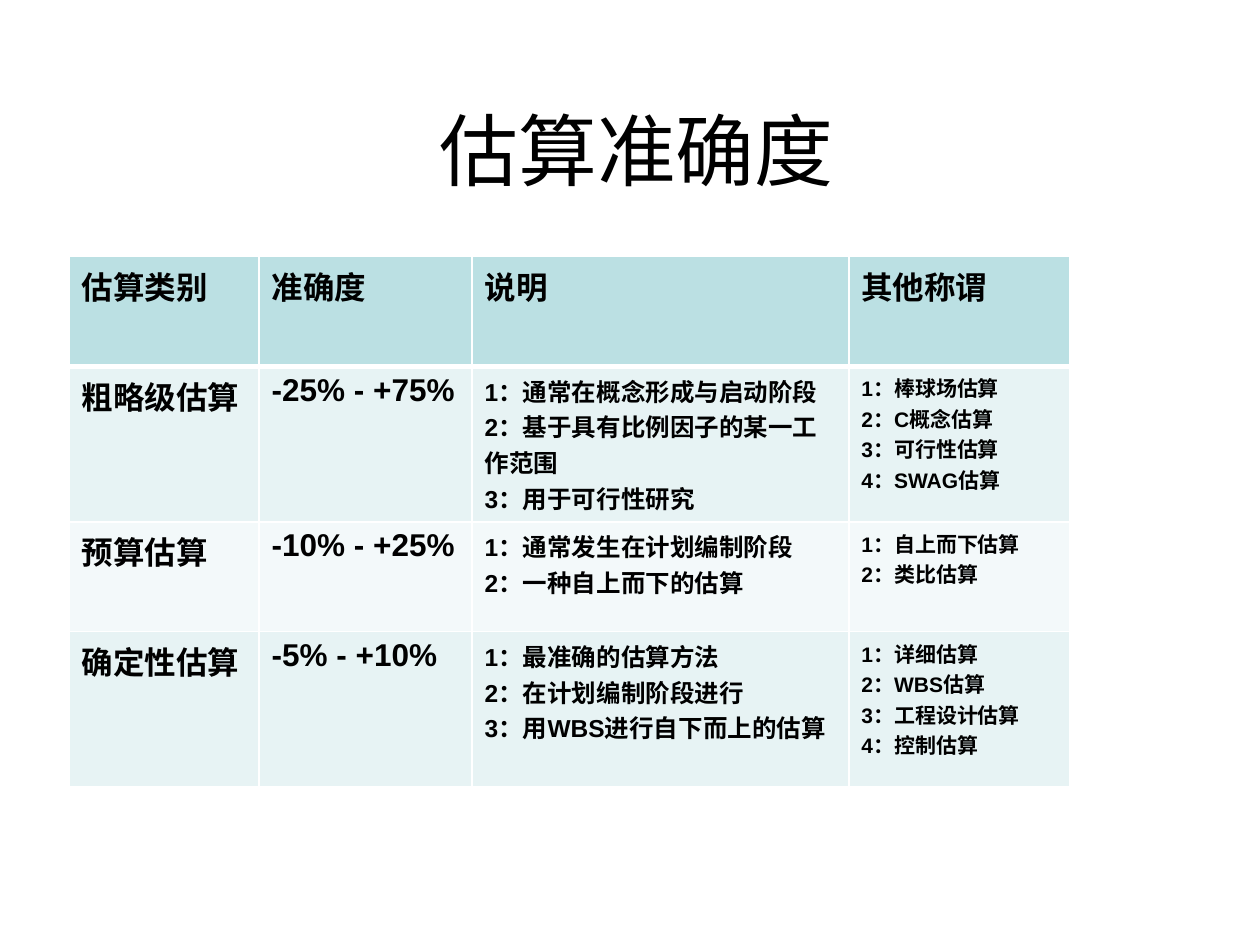
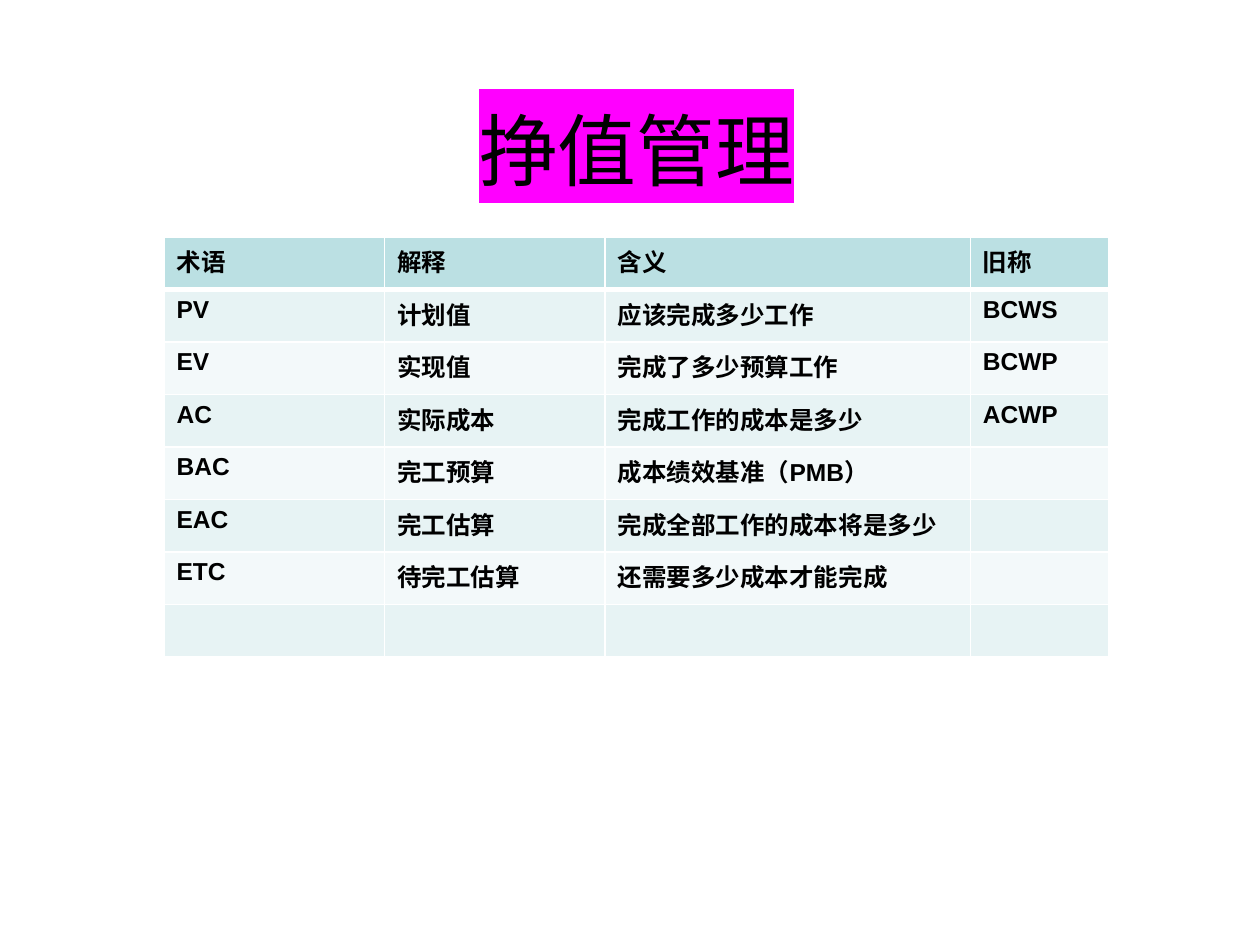
from dataclasses import dataclass

from lxml import etree
from pptx import Presentation
from pptx.dml.color import RGBColor
from pptx.enum.text import MSO_ANCHOR, MSO_AUTO_SIZE, PP_ALIGN
from pptx.oxml.ns import qn
from pptx.util import Pt

BOTTOM = MSO_ANCHOR.BOTTOM
NO_FIT = MSO_AUTO_SIZE.NONE
CENTER = PP_ALIGN.CENTER
TITLE_ONLY = 5

ACCURACY = {
    "title": "估算准确度",
    "highlight": None,
    "origin": (39.6, 146.5),
    "columns": (108.5, 121.7, 215.3, 126),
    "row_height": 62.8,
    "header_size": 18,
    "body_sizes": (18, 18, 14, 12),
    "rows": [
        ("估算类别", "准确度", "说明", "其他称谓"),
        (
            "粗略级估算",
            "-25% - +75%",
            "1：通常在概念形成与启动阶段\n2：基于具有比例因子的某一工作范围\n3：用于可行性研究",
            "1：棒球场估算\n2：C概念估算\n3：可行性估算\n4：SWAG估算",
        ),
        (
            "预算估算",
            "-10% - +25%",
            "1：通常发生在计划编制阶段\n2：一种自上而下的估算",
            "1：自上而下估算\n2：类比估算",
        ),
        (
            "确定性估算",
            "-5% - +10%",
            "1：最准确的估算方法\n2：在计划编制阶段进行\n3：用WBS进行自下而上的估算",
            "1：详细估算\n2：WBS估算\n3：工程设计估算\n4：控制估算",
        ),
    ],
}

EARNED_VALUE = {
    "title": "挣值管理",
    "highlight": "FF00FF",
    "origin": (93.75, 135.5),
    "columns": (126, 126, 208.7, 79.3),
    "row_height": 30,
    "header_size": 14,
    "body_sizes": (14, 14, 14, 14),
    "rows": [
        ("术语", "解释", "含义", "旧称"),
        ("PV", "计划值", "应该完成多少工作", "BCWS"),
        ("EV", "实现值", "完成了多少预算工作", "BCWP"),
        ("AC", "实际成本", "完成工作的成本是多少", "ACWP"),
        ("BAC", "完工预算", "成本绩效基准（PMB）", ""),
        ("EAC", "完工估算", "完成全部工作的成本将是多少", ""),
        ("ETC", "待完工估算", "还需要多少成本才能完成", ""),
        ("", "", "", ""),
    ],
}


@dataclass(frozen=True)
class Theme:
    font: str = "Arial"
    ink: str = "000000"
    border: str = "FFFFFF"
    header: str = "BBE0E3"
    bands: tuple = ("E7F3F4", "F3F9FA")
    title_size: float = 45
    title_box: tuple = (93.75, 43.2, 540, 69.1)
    thin: float = 1
    thick: float = 3


THEME = Theme()


def set_all(target, values):
    for name, value in values.items():
        setattr(target, name, value)


def style_span(span, size, bold=False):
    set_all(span.font, {"name": THEME.font, "size": Pt(size), "bold": bold})
    span.font.color.rgb = RGBColor.from_string(THEME.ink)


def add_solid(parent, tag, color):
    node = etree.SubElement(parent, qn(tag))
    etree.SubElement(node, qn("a:srgbClr"), val=color)
    return node


def add_title(page, text, highlight):
    title = page.shapes.title
    names = ("left", "top", "width", "height")
    set_all(title, dict(zip(names, map(Pt, THEME.title_box))))
    frame = title.text_frame
    set_all(frame, {
        "auto_size": NO_FIT, "word_wrap": True, "vertical_anchor": BOTTOM,
        "margin_top": 0, "margin_bottom": 0,
    })
    para = frame.paragraphs[0]
    para.alignment = CENTER
    span = para.add_run()
    span.text = text
    style_span(span, THEME.title_size)
    if highlight:
        properties = span.font._element
        mark = add_solid(properties, "a:highlight", highlight)
        properties.find(qn("a:solidFill")).addnext(mark)


def style_cell(cell, row):
    properties = cell._tc.get_or_add_tcPr()
    thick_side = {0: "B", 1: "T"}.get(row)
    for side in "LRTB":
        width = THEME.thick if side == thick_side else THEME.thin
        line = etree.SubElement(properties, qn(f"a:ln{side}"), w=str(Pt(width)))
        add_solid(line, "a:solidFill", THEME.border)
    color = THEME.bands[(row - 1) % 2] if row else THEME.header
    cell.fill.solid()
    cell.fill.fore_color.rgb = RGBColor.from_string(color)


def add_grid(page, content):
    rows, columns = content["rows"], content["columns"]
    height = content["row_height"]
    left, top = content["origin"]
    table = page.shapes.add_table(
        len(rows), len(columns), Pt(left), Pt(top),
        Pt(sum(columns)), Pt(height * len(rows)),
    ).table
    for column, width in zip(table.columns, columns):
        column.width = Pt(width)
    for r, texts in enumerate(rows):
        table.rows[r].height = Pt(height)
        for c, text in enumerate(texts):
            cell = table.cell(r, c)
            style_cell(cell, r)
            if not text:
                continue
            cell.text = text
            size = content["body_sizes"][c] if r else content["header_size"]
            for para in cell.text_frame.paragraphs:
                for span in para.runs:
                    style_span(span, size, bold=True)


def main():
    deck = Presentation()
    set_all(deck, {"slide_width": Pt(720), "slide_height": Pt(540)})
    for content in (ACCURACY, EARNED_VALUE):
        page = deck.slides.add_slide(deck.slide_layouts[TITLE_ONLY])
        add_title(page, content["title"], content["highlight"])
        add_grid(page, content)
    deck.save("out.pptx")


if __name__ == "__main__":
    main()
